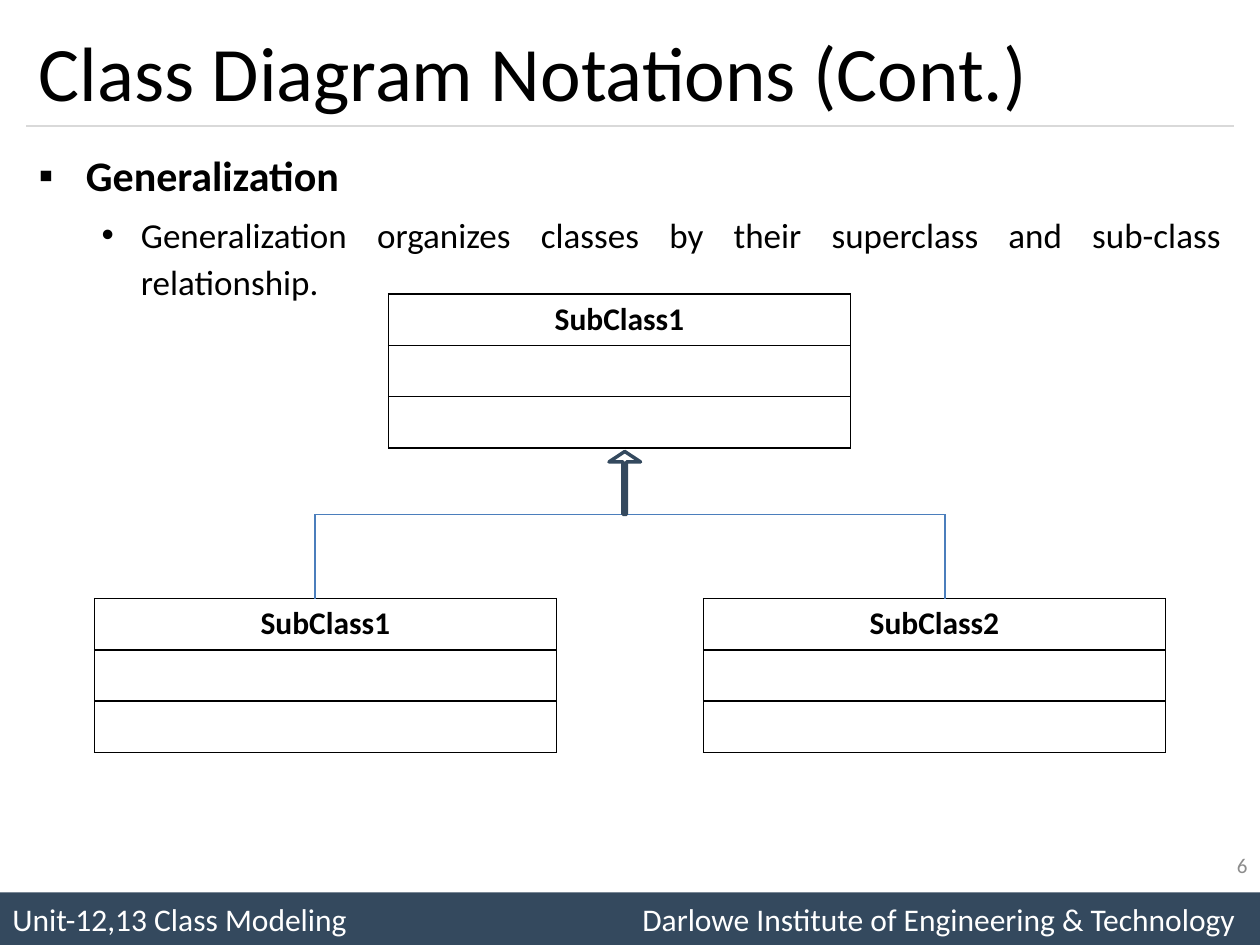
from dataclasses import dataclass
from lxml.etree import SubElement
from pptx import Presentation
from pptx.dml.color import RGBColor
from pptx.enum.shapes import MSO_CONNECTOR, MSO_SHAPE
from pptx.enum.text import MSO_ANCHOR, PP_ALIGN
from pptx.oxml import parse_xml
from pptx.oxml.ns import nsdecls, qn
from pptx.util import Pt


@dataclass(frozen=True)
class Theme:
    """Colours, font and type sizes of the slide."""
    font: str = "Calibri"
    ink: str = "000000"
    white: str = "FFFFFF"
    navy: str = "34495E"
    rule: str = "D9D9D9"
    link: str = "4B7EBC"
    grey: str = "8C8C8C"
    title: int = 44
    head: int = 24
    body: int = 20
    small: int = 18
    page: int = 12


THEME = Theme()


def style(para, text, size, color=THEME.ink, bold=False, align=PP_ALIGN.LEFT):
    """Fill a paragraph and set its font."""
    para.text, para.alignment = text, align
    font = para.font
    font.name, font.size, font.bold = THEME.font, Pt(size), bold
    font.color.rgb = RGBColor.from_string(color)


def add_text(slide, box, anchor):
    """Add a wrapping text box and return its frame."""
    frame = slide.shapes.add_textbox(*map(Pt, box)).text_frame
    frame.word_wrap, frame.vertical_anchor = True, anchor
    return frame


def add_line(slide, start, end, color):
    """Draw a thin straight line without shadow."""
    line = slide.shapes.add_connector(
        MSO_CONNECTOR.STRAIGHT, *map(Pt, (*start, *end)))
    line.line.color.rgb = RGBColor.from_string(color)
    line.line.width = Pt(0.75)
    SubElement(line._element.spPr, qn("a:effectLst"))


def add_title(slide, box, text):
    """Place the title with a rule along its foot."""
    left, top, width, height = box
    frame = add_text(slide, box, MSO_ANCHOR.MIDDLE)
    style(frame.paragraphs[0], text, THEME.title)
    foot = top + height
    add_line(slide, (left, foot), (left + width, foot), THEME.rule)


def add_body(slide, box, items):
    """Place bulleted paragraphs of text, mark, size, bold, margin and hang."""
    frame = add_text(slide, box, MSO_ANCHOR.TOP)
    for i, (text, mark, size, bold, margin, hang) in enumerate(items):
        para = frame.add_paragraph() if i else frame.paragraphs[0]
        style(para, text, size, bold=bold, align=PP_ALIGN.JUSTIFY)
        para.line_spacing, para.space_before = 1.14, Pt(size * 0.2)
        props = para._p.get_or_add_pPr()
        props.set("marL", str(Pt(margin)))
        props.set("indent", str(Pt(-hang)))
        SubElement(props, qn("a:buFont"), typeface="Arial")
        SubElement(props, qn("a:buChar"), char=mark)


def add_class(slide, box, name):
    """Draw a class as a table of name, attributes and operations."""
    table = slide.shapes.add_table(3, 1, *map(Pt, box)).table
    table.first_row = table.horz_banding = False
    for row in table.rows:
        cell = row.cells[0]
        cell.fill.background()
        props = cell._tc.get_or_add_tcPr()
        for i, side in enumerate("LRTB"):
            props.insert(i, parse_xml(
                f'<a:ln{side} {nsdecls("a")} w="{Pt(1)}"><a:solidFill>'
                f'<a:srgbClr val="{THEME.ink}"/></a:solidFill></a:ln{side}>'))
    para = table.cell(0, 0).text_frame.paragraphs[0]
    style(para, name, THEME.small, bold=True, align=PP_ALIGN.CENTER)


def add_arrow(slide, box):
    """Draw the hollow generalization arrow pointing up."""
    left, top, width, height = box
    mid, neck, half = left + width / 2, top + 6.5, 0.9
    points = [(mid - half, top + height), (mid - half, neck), (left, neck),
              (mid, top), (left + width, neck), (mid + half, neck),
              (mid + half, top + height)]
    pen = slide.shapes.build_freeform(*points[0], scale=Pt(1))
    pen.add_line_segments(points[1:], close=True)
    arrow = pen.convert_to_shape()
    arrow.shadow.inherit = False
    arrow.fill.background()
    arrow.line.color.rgb = RGBColor.from_string(THEME.navy)
    arrow.line.width = Pt(2)


def add_diagram(slide, box):
    """Place the superclass above two subclasses and join them."""
    left, top, width, height = box
    wide, tall = 264, 88
    low, bar = top + height - tall, top + 126
    right = left + width - wide
    add_class(slide, (left, low, wide, tall), "SubClass1")
    add_class(slide, (right, low, wide, tall), "SubClass2")
    add_class(slide, (left + 168, top, wide, tall), "SubClass1")
    ends = left + 126, right + 138
    for x in ends:
        add_line(slide, (x, low), (x, bar), THEME.link)
    add_line(slide, (ends[0], bar), (ends[1], bar), THEME.link)
    add_arrow(slide, (left + 294, top + 90, 17.5, 36))


def add_footer(slide, box, text, page):
    """Place the footer band with the page number above it."""
    left, top, width, height = box
    band = slide.shapes.add_shape(MSO_SHAPE.RECTANGLE, *map(Pt, box))
    band.shadow.inherit = False
    band.fill.solid()
    band.fill.fore_color.rgb = RGBColor.from_string(THEME.navy)
    band.line.fill.background()
    band.text_frame.vertical_anchor = MSO_ANCHOR.MIDDLE
    para = band.text_frame.paragraphs[0]
    style(para, text, THEME.small, THEME.white)
    tabs = SubElement(para._p.get_or_add_pPr(), qn("a:tabLst"))
    for stop in (216, 288, 360):
        SubElement(tabs, qn("a:tab"), pos=str(Pt(stop)), algn="l")
    para._p.pPr.insert_element_before(tabs, "a:defRPr")
    spot = left + width - 168, top - 30, 168, 29
    frame = add_text(slide, spot, MSO_ANCHOR.MIDDLE)
    style(frame.paragraphs[0], page, THEME.page, THEME.grey,
          align=PP_ALIGN.RIGHT)


def main():
    """Build and save the slide."""
    deck = Presentation()
    deck.slide_width, deck.slide_height = Pt(720), Pt(540)
    slide = deck.slides.add_slide(deck.slide_layouts[6])
    add_footer(slide, (0, 510, 720, 30), "Unit-12,13 Class Modeling\t\t\t"
               "Darlowe Institute of Engineering & Technology", "6")
    add_title(slide, (15, 9, 690, 63), "Class Diagram Notations (Cont.)")
    add_body(slide, (15, 78, 690, 420), [
        ("Generalization", "▪", THEME.head, True, 27, 27),
        ("Generalization organizes classes by their superclass and "
         "sub-class relationship.", "•", THEME.body, False, 58.5, 22.5)])
    add_diagram(slide, (54, 168, 612, 262))
    deck.save("out.pptx")


if __name__ == "__main__":
    main()
